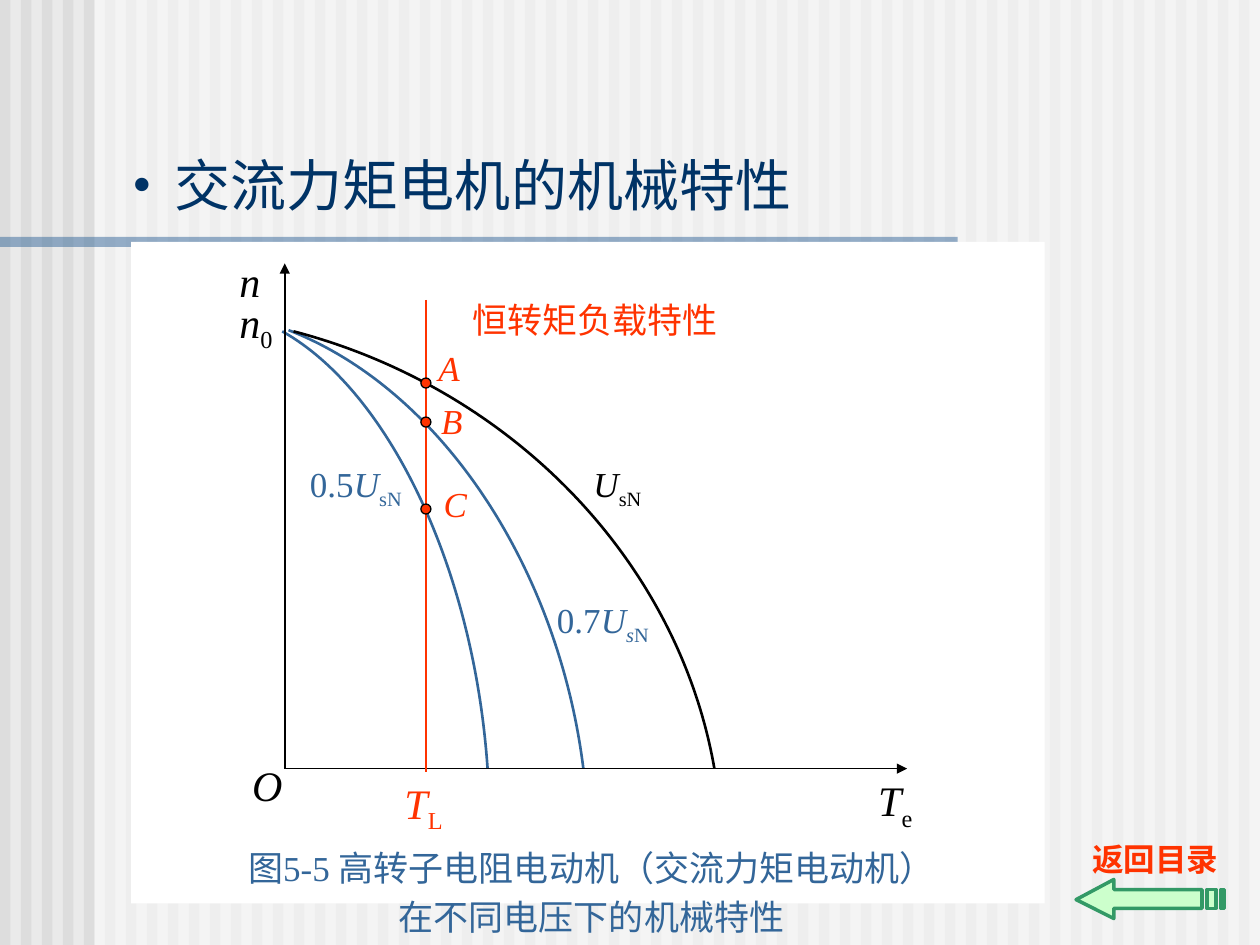
"""Build the slide on the mechanical characteristics of AC torque motors."""
from lxml.etree import SubElement
from pptx import Presentation
from pptx.dml.color import RGBColor
from pptx.enum.shapes import MSO_CONNECTOR as CONN, MSO_SHAPE as SHAPE
from pptx.enum.text import MSO_ANCHOR as ANCHOR, PP_ALIGN as ALIGN
from pptx.oxml.ns import qn
from pptx.util import Inches, Pt

BLACK = RGBColor(0x00, 0x00, 0x00)
WHITE = RGBColor(0xFF, 0xFF, 0xFF)
BACK = RGBColor(0xEA, 0xEA, 0xEA)
STRIPE = RGBColor(0xDD, 0xDD, 0xDD)
NAVY = RGBColor(0x00, 0x33, 0x66)
BLUE = RGBColor(0x33, 0x66, 0x99)
RED = RGBColor(0xFF, 0x33, 0x00)
MINT = RGBColor(0xCC, 0xFF, 0xCC)
GREEN = RGBColor(0x33, 0x99, 0x66)
SERIF, SANS = "Times New Roman", "DejaVu Sans"
W, H = 10, 7.5
STRIPES = 60
X0, Y0 = 2.26, 6.1
LOAD_X = 3.38
DOT = 0.08
UNITS = 100

TITLE = "交流力矩电机的机械特性"
CAPTION = [
    [("图", SANS), ("5-5 ", SERIF), ("高转子电阻电动机（交流力矩电动机）", SANS)],
    [("在不同电压下的机械特性", SANS)],
]
CURVES = [
    (BLUE, [(2.24, 2.63), (3.08, 3.1), (3.76, 4.5), (3.87, Y0)]),
    (BLUE, [(2.29, 2.62), (3.5, 3.09), (4.43, 4.5), (4.63, Y0)]),
    (BLACK, [(2.33, 2.63), (4.05, 3.08), (5.38, 4.44), (5.67, Y0)]),
]
LABELS = [
    ((6.97, 6.15, 0.57, 0.46), [("T", "i"), ("e", "_")], 24, BLACK),
    ((2, 6.03, 0.32, 0.42), [("O", "i")], 24, BLACK),
    ((1.9, 2.03, 0.35, 0.4), [("n", "i")], 24, BLACK),
    ((1.9, 2.35, 0.35, 0.46), [("n", "i"), ("0", "_")], 24, BLACK),
    ((4.71, 3.67, 0.75, 0.38), [("U", "i"), ("sN", "_")], 20, BLACK),
    ((4.42, 4.75, 1.08, 0.38), [("0.7", ""), ("U", "i"), ("s", "i_"), ("N", "_")], 20, BLUE),
    ((2.46, 3.67, 1.08, 0.38), [("0.5", ""), ("U", "i"), ("sN", "_")], 20, BLUE),
    ((3.21, 6.17, 0.75, 0.46), [("T", "i"), ("L", "_")], 24, RED),
]
POINTS = [("A", 3.04, 3.48, 2.75), ("B", 3.35, 3.5, 3.17), ("C", 4.04, 3.52, 3.83)]
ARROW = [
    [(9.54, 7.06), (8.84, 7.06), (8.84, 6.98), (8.54, 7.14), (8.84, 7.29), (8.84, 7.21), (9.54, 7.21)],
    [(9.72, 7.06), (9.69, 7.06), (9.69, 7.21), (9.72, 7.21)],
    [(9.65, 7.06), (9.58, 7.06), (9.58, 7.21), (9.65, 7.21)],
]

prs = Presentation()
prs.slide_width, prs.slide_height = Inches(W), Inches(H)
slide = prs.slides.add_slide(prs.slide_layouts[6])
slide.background.fill.solid()
slide.background.fill.fore_color.rgb = BACK
shapes = slide.shapes


def add_text(box, paras, size=20, color=BLACK, font=SERIF, bold=False, align=ALIGN.LEFT,
             anchor=ANCHOR.TOP, inset=(0, 0), wrap=True, bullet=0, gap=0):
    """Add a text box; each run is (text, style), the style being i, _ or a font name."""
    sp = shapes.add_textbox(*map(Inches, box))
    tf = sp.text_frame
    tf.word_wrap, tf.vertical_anchor = wrap, anchor
    tf.margin_left = tf.margin_right = Inches(inset[0])
    tf.margin_top = tf.margin_bottom = Inches(inset[1])
    for n, runs in enumerate(paras):
        p = tf.add_paragraph() if n else tf.paragraphs[0]
        p.alignment = align
        if n and gap:
            p.space_before = Pt(gap)
        if bullet:
            pPr = p._p.get_or_add_pPr()
            pPr.set("marL", str(Inches(bullet)))
            pPr.set("indent", str(-Inches(bullet)))
            SubElement(pPr, qn("a:buFont"), typeface=font)
            SubElement(pPr, qn("a:buChar"), char="•")
        for text, style in runs:
            r = p.add_run()
            r.text = text
            r.font.size, r.font.bold, r.font.color.rgb = Pt(size), bold, color
            named = style in (SERIF, SANS)
            r.font.name = style if named else font
            if not named:
                r.font.italic = "i" in style
                if "_" in style:
                    r._r.get_or_add_rPr().set("baseline", "-25000")


def paint(sp, fill=None, line=None, width=1, alpha=None):
    """Set the fill, outline and opacity of a shape."""
    sp.shadow.inherit = False
    if fill is None:
        sp.fill.background()
    else:
        sp.fill.solid()
        sp.fill.fore_color.rgb = fill
    if alpha:
        color = sp.fill._xPr.find(qn("a:solidFill"))[0]
        SubElement(color, qn("a:alpha"), val=str(alpha * 1000))
    if line is None:
        sp.line.fill.background()
    else:
        sp.line.color.rgb, sp.line.width = line, Pt(width)


def add_block(box, fill, kind=SHAPE.RECTANGLE, **look):
    """Add a painted preset shape."""
    paint(shapes.add_shape(kind, *map(Inches, box)), fill, **look)


def add_line(start, end, color, arrow=False):
    """Add a straight line, with an arrowhead at its end if asked."""
    cn = shapes.add_connector(CONN.STRAIGHT, *map(Inches, start + end))
    cn.line.color.rgb, cn.line.width = color, Pt(1)
    if arrow:
        SubElement(cn.line._get_or_add_ln(), qn("a:tailEnd"), type="triangle")
    SubElement(cn._element.spPr, qn("a:effectLst"))


def add_outline(contours, closed=True):
    """Add a freeform made of one or more contours given in inches."""
    grid = [[(round(x * UNITS), round(y * UNITS)) for x, y in pts] for pts in contours]
    fb = shapes.build_freeform(*grid[0][0], scale=Inches(1) / UNITS)
    for n, pts in enumerate(grid):
        if n:
            fb.move_to(*pts[0])
        fb.add_line_segments(pts[1:], close=closed)
    return fb.convert_to_shape()


def add_curve(pts, color):
    """Add a cubic curve from its two ends and two control points."""
    sp = add_outline([pts], closed=False)
    route = next(sp._element.iter(qn("a:path")))
    bezier = SubElement(route, qn("a:cubicBezTo"))
    for step in route.findall(qn("a:lnTo")):
        bezier.append(step[0])
        route.remove(step)
    paint(sp, line=color, width=1.5)


for n in range(STRIPES):
    add_block((n * W / STRIPES, 0, W / STRIPES / 2, H), STRIPE)
add_block((0.75, 0, W - 0.75, H), WHITE, alpha=50)
add_block((0, 1.88, 7.6, 0.08), BLUE, alpha=50)
add_text((0.95, 1.14, 8.93, 0.64), [[(TITLE, "")]], size=32, color=NAVY,
         anchor=ANCHOR.BOTTOM, inset=(0.1, 0.05), bullet=0.34)
add_block((1.04, 1.92, 7.25, 5.25), WHITE)

for color, pts in CURVES:
    add_curve(pts, color)
add_line((X0, Y0), (7.2, Y0), BLACK, arrow=True)
add_line((X0, Y0), (X0, 2.09), BLACK, arrow=True)
add_line((LOAD_X, 2.38), (LOAD_X, 6.13), RED)

for box, runs, size, color in LABELS:
    add_text(box, [runs], size=size, color=color)
for name, y, left, top in POINTS:
    add_block((LOAD_X - DOT / 2, y - DOT / 2, DOT, DOT), RED, SHAPE.OVAL, line=BLACK, width=0.75)
    add_text((left, top, 0.42, 0.33), [[(name, "i")]], color=RED)

add_text((3.65, 2.32, 2.15, 0.44), [[("恒转矩负载特性", SANS)]], color=RED,
         inset=(0.1, 0.05), wrap=False)
add_text((1.13, 6.67, 7.13, 0.84), CAPTION, color=BLUE, align=ALIGN.CENTER,
         inset=(0.1, 0.05), gap=4)
add_text((8.54, 6.54, 1.26, 0.55), [[("返回目录", SANS)]], size=18, color=RED, bold=True,
         align=ALIGN.CENTER, anchor=ANCHOR.MIDDLE, inset=(0.1, 0.05), wrap=False)
paint(add_outline(ARROW), MINT, line=GREEN, width=2)
prs.save("out.pptx")
